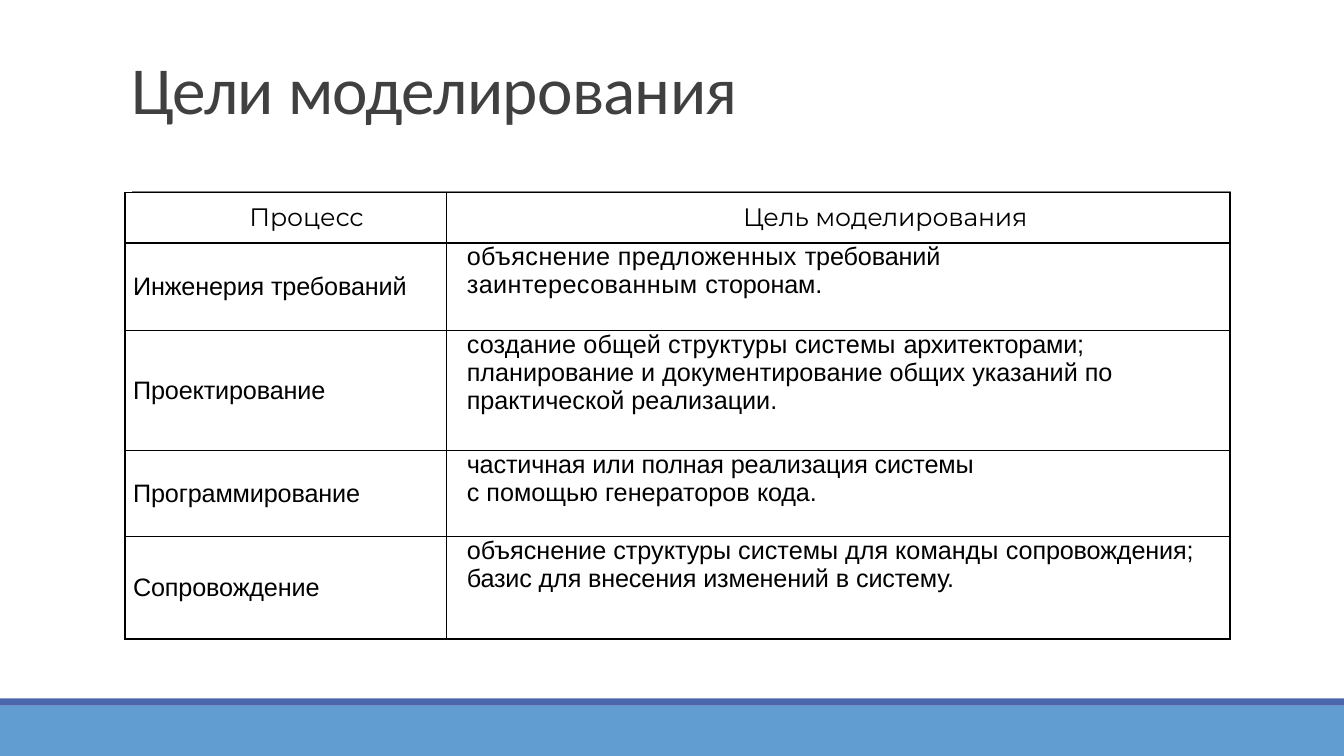
from lxml.etree import SubElement
from pptx import Presentation
from pptx.dml.color import RGBColor
from pptx.enum.shapes import MSO_CONNECTOR, MSO_SHAPE
from pptx.enum.text import MSO_ANCHOR, MSO_AUTO_SIZE, PP_ALIGN
from pptx.oxml.ns import qn
from pptx.util import Inches, Pt

COLUMN_WIDTHS = [3.19, 7.77]
ROW_HEIGHTS = [0.5, 0.87, 1.19, 0.85, 1.02]
HEADERS = [
    ([("Процесс", -0.1)], 0.41),
    ([("Цель ", 0), ("моделирования", -0.1)], 0.93),
]
PROCESSES = [
    (("Инженерия требований", -0.1), [
        [("объяснение предложенных ", 0.3), ("требований", -0.1)],
        [("заинтересованным ", 0.3), ("сторонам.", -0.1)],
    ]),
    (("Проектирование", -0.1), [
        [("создание общей структуры системы ", 0.1), ("архитекторами;", -0.1)],
        [("планирование и документирование общих указаний по практической реализации.", 0)],
    ]),
    (("Программирование", -0.1), [
        [("частичная или полная реализация системы", -0.1)],
        [("с помощью генераторов ", 0), ("кода.", -0.1)],
    ]),
    (("Сопровождение", -0.1), [
        [("объяснение структуры системы для команды ", 0),
         ("сопровождения; базис для внесения изменений ", -0.1),
         ("в", 0), (" систему.", -0.1)],
    ]),
]


def color(value):
    """Turn a hex string into a colour."""
    return RGBColor.from_string(value)


def apply_format(target, values):
    """Set every attribute named in a dict."""
    for name, value in values.items():
        setattr(target, name, value)


class SlideBuilder:
    """Holds the style and the current slide."""

    title_style = {"name": "Calibri", "size": Pt(48)}
    header_style = {"name": "Montserrat", "size": Pt(18)}
    body_style = {"name": "Arial", "size": Pt(18)}
    no_margins = dict.fromkeys(
        ["margin_left", "margin_top", "margin_right", "margin_bottom"], 0)

    def __init__(self, slide):
        """Keep the slide to draw on."""
        self.slide = slide

    def runs(self, paragraph, pieces, style, hex_color="000000"):
        """Add runs given as text and letter spacing in points."""
        for text, spacing in pieces:
            run = paragraph.add_run()
            run.text = text
            apply_format(run.font, style)
            run.font.color.rgb = color(hex_color)
            run._r.get_or_add_rPr().set("spc", str(round(spacing * 100)))

    def title(self, text, left, top, width, height):
        """Place and format the title placeholder."""
        shape = self.slide.shapes.title
        apply_format(shape, {"left": Inches(left), "top": Inches(top),
                             "width": Inches(width), "height": Inches(height)})
        apply_format(shape.text_frame, {"auto_size": MSO_AUTO_SIZE.NONE, "word_wrap": True,
                                        "vertical_anchor": MSO_ANCHOR.BOTTOM})
        paragraph = shape.text_frame.paragraphs[0]
        apply_format(paragraph, {"alignment": PP_ALIGN.LEFT, "line_spacing": 0.85})
        self.runs(paragraph, [(text, -0.5)], self.title_style, "404040")

    def band(self, top, height, hex_color):
        """Draw a full-width coloured band."""
        shape = self.slide.shapes.add_shape(
            MSO_SHAPE.RECTANGLE, 0, Inches(top), Inches(13.33), Inches(height))
        shape.shadow.inherit = False
        shape.fill.solid()
        shape.fill.fore_color.rgb = color(hex_color)
        shape.line.fill.background()

    def rule(self, left, right, top):
        """Draw a thin grey horizontal line."""
        line = self.slide.shapes.add_connector(
            MSO_CONNECTOR.STRAIGHT, Inches(left), Inches(top), Inches(right), Inches(top))
        line.line.color.rgb = color("808080")
        line.line.width = Pt(0.5)
        SubElement(line._element.spPr, qn("a:effectLst"))

    def table(self, left, top, widths, heights):
        """Add an unstyled table with the given column and row sizes."""
        table = self.slide.shapes.add_table(
            len(heights), len(widths), Inches(left), Inches(top),
            Inches(sum(widths)), Inches(sum(heights))).table
        apply_format(table, {"first_row": False, "horz_banding": False})
        for column, width in zip(table.columns, widths):
            column.width = Inches(width)
        for row, height in zip(table.rows, heights):
            row.height = Inches(height)
        return table

    def cell(self, cell, paragraphs, indent, style, anchor, alignment=PP_ALIGN.LEFT):
        """Fill and border a cell."""
        properties = cell._tc.get_or_add_tcPr()
        for side in ("lnL", "lnR", "lnT", "lnB"):
            border = SubElement(properties, qn(f"a:{side}"), w=str(Pt(1)))
            fill = SubElement(border, qn("a:solidFill"))
            SubElement(fill, qn("a:srgbClr"), val="000000")
        cell.fill.background()
        apply_format(cell, {**self.no_margins, "vertical_anchor": anchor})
        frame = cell.text_frame
        for index, pieces in enumerate(paragraphs):
            paragraph = frame.add_paragraph() if index else frame.paragraphs[0]
            paragraph.alignment = alignment
            paragraph_properties = paragraph._p.get_or_add_pPr()
            paragraph_properties.set("marL", str(Inches(indent)))
            paragraph_properties.set("indent", "0")
            self.runs(paragraph, pieces, style)


def main():
    """Build and save the slide."""
    presentation = Presentation()
    presentation.slide_width = Inches(13.33)
    presentation.slide_height = Inches(7.5)
    slide = presentation.slides.add_slide(presentation.slide_layouts[5])
    builder = SlideBuilder(slide)
    builder.band(7, 0.5, "629DD1")
    builder.band(6.93, 0.07, "4A66AC")
    builder.rule(1.31, 12.21, 1.9)
    builder.title("Цели моделирования", 1.2, 0.31, 11, 1.01)

    table = builder.table(1.24, 1.91, COLUMN_WIDTHS, ROW_HEIGHTS)
    for column, (pieces, indent) in enumerate(HEADERS):
        builder.cell(table.cell(0, column), [pieces], indent, builder.header_style,
                     MSO_ANCHOR.MIDDLE, PP_ALIGN.CENTER)
    for row, (process, goals) in enumerate(PROCESSES, start=1):
        builder.cell(table.cell(row, 0), [[process]], 0.08, builder.body_style,
                     MSO_ANCHOR.MIDDLE)
        builder.cell(table.cell(row, 1), goals, 0.2, builder.body_style, MSO_ANCHOR.TOP)
    presentation.save("out.pptx")


if __name__ == "__main__":
    main()
